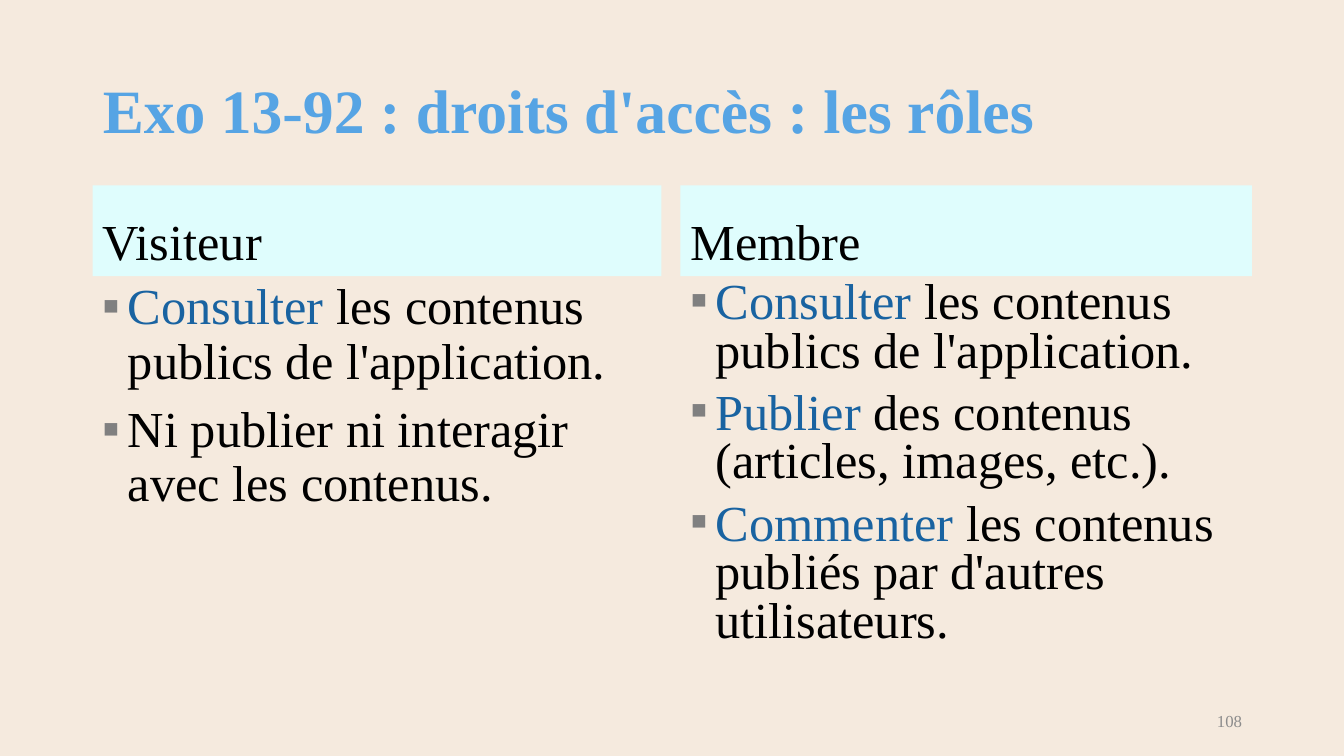
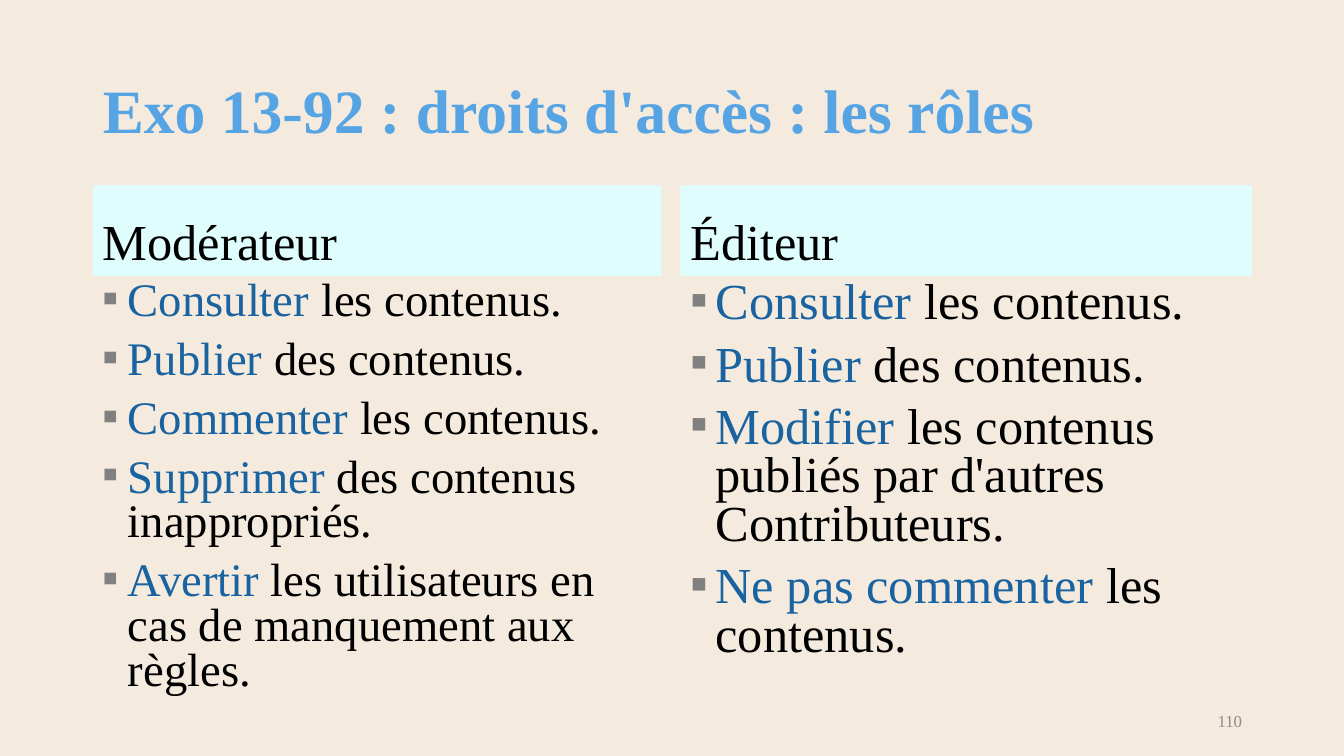
import pptx
import pptx.util
import pptx.dml.color
import pptx.enum.text
import pptx.oxml
import pptx.oxml.ns
from dataclasses import dataclass

ANCHOR = pptx.enum.text.MSO_ANCHOR
ALIGN = pptx.enum.text.PP_ALIGN


@dataclass(frozen=True)
class Theme:
    font: str = "Times New Roman"
    background: str = "F5EADE"
    band: str = "DFFDFD"
    title: str = "56A4E4"
    text: str = "000000"
    action: str = "1963A1"
    bullet: str = "808080"
    number: str = "8C8C8C"
    title_size: float = 44
    text_size: float = 36
    dense_size: float = 33.3
    number_size: float = 12


theme = Theme()
presentation = pptx.Presentation()
presentation.slide_width = pptx.util.Inches(13.33)
presentation.slide_height = pptx.util.Inches(7.5)
title_only = presentation.slide_layouts[5]

COLUMNS = [(6.9, 42.31), (50.63, 42.53)]
TITLE_ROW = (5.33, 19.33)
BAND_ROW = (24.53, 12)
LIST_ROW = (36.53, 53.73)
NUMBER_ROW = (92.67, 5.33)
TITLE_COLUMN = (6.9, 86.26)
NUMBER_COLUMN = (70.66, 22.5)


def place(shape, column, row, anchor):
    geometry = {
        "left": presentation.slide_width * column[0] / 100,
        "top": presentation.slide_height * row[0] / 100,
        "width": presentation.slide_width * column[1] / 100,
        "height": presentation.slide_height * row[1] / 100,
    }
    for name, value in geometry.items():
        setattr(shape, name, round(value))
    frame = shape.text_frame
    settings = {
        "word_wrap": True,
        "auto_size": pptx.enum.text.MSO_AUTO_SIZE.NONE,
        "vertical_anchor": anchor,
    }
    for name, value in settings.items():
        setattr(frame, name, value)
    return frame


def write(paragraph, pieces, size, spacing=0.9, align=ALIGN.LEFT, bold=False):
    paragraph.alignment = align
    paragraph.line_spacing = spacing
    for text, color in pieces:
        run = paragraph.add_run()
        run.text = text
        formats = {"name": theme.font, "size": pptx.util.Pt(size), "bold": bold}
        for name, value in formats.items():
            setattr(run.font, name, value)
        run.font.color.rgb = pptx.dml.color.RGBColor.from_string(color)


BULLET = [
    f'<a:buClr {pptx.oxml.ns.nsdecls("a")}><a:srgbClr val="{theme.bullet}"/></a:buClr>',
    f'<a:buFont {pptx.oxml.ns.nsdecls("a")} typeface="{theme.font}"/>',
    f'<a:buChar {pptx.oxml.ns.nsdecls("a")} char="▪"/>',
]
INDENT = pptx.util.Inches(0.25)
TITLE = "Exo 13-92 : droits d'accès : les rôles"

slides = [
    ("108", [
        ("Visiteur", theme.text_size, 0.9, [
            ("Consulter", " les contenus publics de l'application."),
            ("", "Ni publier ni interagir avec les contenus."),
        ]),
        ("Membre", theme.text_size, 0.8, [
            ("Consulter", " les contenus publics de l'application."),
            ("Publier", " des contenus (articles, images, etc.)."),
            ("Commenter", " les contenus publiés par d'autres utilisateurs."),
        ]),
    ]),
    ("110", [
        ("Modérateur", theme.dense_size, 0.8, [
            ("Consulter", " les contenus."),
            ("Publier", " des contenus."),
            ("Commenter", " les contenus."),
            ("Supprimer", " des contenus inappropriés."),
            ("Avertir", " les utilisateurs en cas de manquement aux règles."),
        ]),
        ("Éditeur", theme.text_size, 0.8, [
            ("Consulter", " les contenus."),
            ("Publier", " des contenus."),
            ("Modifier", " les contenus publiés par d'autres Contributeurs."),
            ("Ne pas commenter", " les contenus."),
        ]),
    ]),
]

for number, roles in slides:
    slide = presentation.slides.add_slide(title_only)
    slide.background.fill.solid()
    slide.background.fill.fore_color.rgb = pptx.dml.color.RGBColor.from_string(theme.background)

    frame = place(slide.shapes.title, TITLE_COLUMN, TITLE_ROW, ANCHOR.MIDDLE)
    write(frame.paragraphs[0], [(TITLE, theme.title)], theme.title_size, bold=True)

    for column, (role, size, spacing, rights) in zip(COLUMNS, roles):
        band = slide.shapes.add_textbox(0, 0, 0, 0)
        band.fill.solid()
        band.fill.fore_color.rgb = pptx.dml.color.RGBColor.from_string(theme.band)
        frame = place(band, column, BAND_ROW, ANCHOR.BOTTOM)
        write(frame.paragraphs[0], [(role, theme.text)], theme.text_size)

        rights_box = slide.shapes.add_textbox(0, 0, 0, 0)
        frame = place(rights_box, column, LIST_ROW, ANCHOR.TOP)
        for index, (action, detail) in enumerate(rights):
            paragraph = frame.add_paragraph() if index else frame.paragraphs[0]
            properties = paragraph._p.get_or_add_pPr()
            properties.set("marL", str(INDENT))
            properties.set("indent", str(-INDENT))
            for element in BULLET:
                properties.append(pptx.oxml.parse_xml(element))
            if index:
                paragraph.space_before = pptx.util.Pt(10)
            pieces = [(action, theme.action), (detail, theme.text)]
            write(paragraph, [piece for piece in pieces if piece[0]], size, spacing)

    number_box = slide.shapes.add_textbox(0, 0, 0, 0)
    frame = place(number_box, NUMBER_COLUMN, NUMBER_ROW, ANCHOR.MIDDLE)
    write(frame.paragraphs[0], [(number, theme.number)], theme.number_size, 1.0, ALIGN.RIGHT)

presentation.save("out.pptx")
